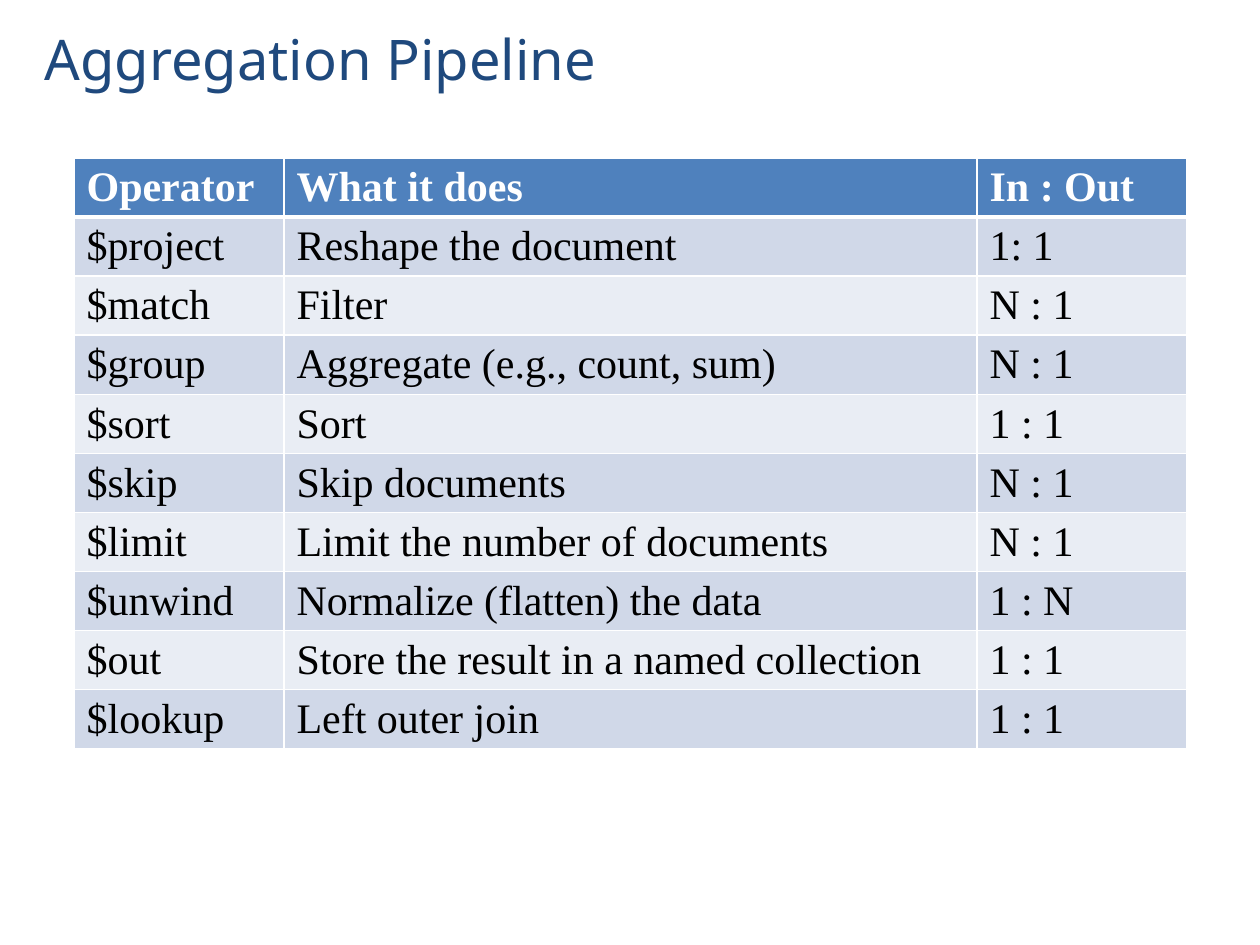
"""Build the Aggregation Pipeline slide."""
from dataclasses import dataclass

from lxml import etree
from pptx import Presentation
from pptx.dml.color import RGBColor
from pptx.enum import text
from pptx.oxml import ns
from pptx.util import Emu, Pt

PX = 914400 // 126


@dataclass(frozen=True)
class Theme:
    """Colours, fonts and type sizes."""
    title: str = "1F497D"
    header: str = "4F81BD"
    bands: tuple = ("D0D8E8", "E9EDF4")
    light: str = "FFFFFF"
    dark: str = "000000"
    title_font: str = "Noto Sans"
    body_font: str = "Times New Roman"
    title_size: int = 32
    body_size: int = 24


class SlideBuilder:
    """Hold the theme and the current slide."""

    def __init__(self, prs, theme):
        """Add a slide with a title to the presentation."""
        self.theme = theme
        self.slide = prs.slides.add_slide(prs.slide_layouts[5])

    def line(self, tf, content, color, **font):
        """Add one left-aligned line of text in the given format."""
        p = tf.paragraphs[0]
        p.alignment = text.PP_ALIGN.LEFT
        r = p.add_run()
        r.text = content
        for name, value in font.items():
            setattr(r.font, name, value)
        r.font.color.rgb = RGBColor.from_string(color)

    def title(self, content, box):
        """Place and fill the title placeholder."""
        sp = self.slide.shapes.title
        for name, value in zip(("left", "top", "width", "height"), box):
            setattr(sp, name, Emu(value * PX))
        t = self.theme
        sp.text_frame.vertical_anchor = text.MSO_ANCHOR.MIDDLE
        self.line(sp.text_frame, content, t.title,
                  name=t.title_font, size=Pt(t.title_size))

    def border(self, cell, side, width):
        """Draw one light border of a cell."""
        ln = etree.SubElement(cell._tc.get_or_add_tcPr(), ns.qn(f"a:ln{side}"),
                              w=str(Pt(width)))
        fill = etree.SubElement(ln, ns.qn("a:solidFill"))
        etree.SubElement(fill, ns.qn("a:srgbClr"), val=self.theme.light)

    def cell(self, cell, content, row):
        """Format a header or banded body cell."""
        t = self.theme
        header = row == 0
        widths = {"L": 1, "R": 1, "T": 3 if row == 1 else 1, "B": 3 if header else 1}
        for side, width in widths.items():
            self.border(cell, side, width)
        cell.fill.solid()
        cell.fill.fore_color.rgb = RGBColor.from_string(
            t.header if header else t.bands[(row - 1) % 2])
        self.line(cell.text_frame, content, t.light if header else t.dark,
                  name=t.body_font, size=Pt(t.body_size), bold=header, italic=False)

    def table(self, rows, left, top, widths, row_height):
        """Add a table with a header and equal rows."""
        table = self.slide.shapes.add_table(
            len(rows), len(widths), Emu(left * PX), Emu(top * PX),
            Emu(sum(widths) * PX), Emu(len(rows) * row_height * PX)).table
        for column, width in zip(table.columns, widths):
            column.width = Emu(width * PX)
        for i, values in enumerate(rows):
            table.rows[i].height = Emu(row_height * PX)
            for j, value in enumerate(values):
                self.cell(table.cell(i, j), value, i)


OPERATORS = [
    ("Operator", "What it does", "In : Out"),
    ("$project", "Reshape the document", "1: 1"),
    ("$match", "Filter", "N : 1"),
    ("$group", "Aggregate (e.g., count, sum)", "N : 1"),
    ("$sort", "Sort", "1 : 1"),
    ("$skip", "Skip documents", "N : 1"),
    ("$limit", "Limit the number of documents", "N : 1"),
    ("$unwind", "Normalize (flatten) the data", "1 : N"),
    ("$out", "Store the result in a named collection", "1 : 1"),
    ("$lookup", "Left outer join", "1 : 1"),
]

prs = Presentation()
prs.slide_width, prs.slide_height = Emu(1260 * PX), Emu(945 * PX)
slide = SlideBuilder(prs, Theme())
slide.title("Aggregation Pipeline", (32, 0, 1197, 116))
slide.table(OPERATORS, 74, 158, (210, 693, 210), 59)
prs.save("out.pptx")
